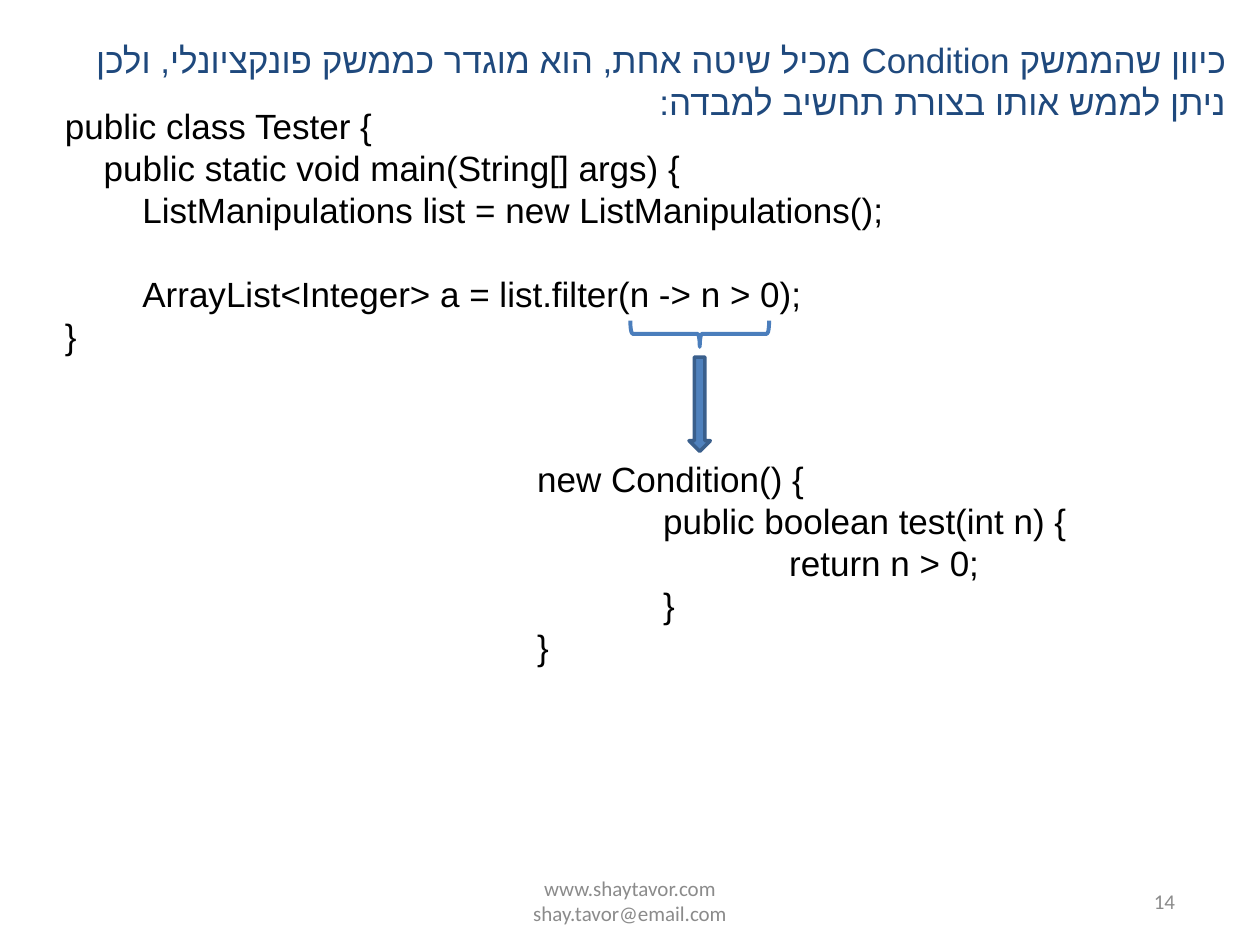
from lxml import etree
from pptx import Presentation
from pptx.dml.color import RGBColor
from pptx.enum.shapes import MSO_SHAPE
from pptx.enum.text import MSO_ANCHOR, MSO_AUTO_SIZE, PP_ALIGN
from pptx.oxml.ns import qn
from pptx.util import Cm, Pt

BRACE, DOWN_ARROW = MSO_SHAPE.RIGHT_BRACE, MSO_SHAPE.DOWN_ARROW
TOP, MIDDLE = MSO_ANCHOR.TOP, MSO_ANCHOR.MIDDLE
LEFT, CENTER, RIGHT = PP_ALIGN.LEFT, PP_ALIGN.CENTER, PP_ALIGN.RIGHT

BLACK = RGBColor(0x00, 0x00, 0x00)
NAVY = RGBColor(0x1F, 0x49, 0x7D)
GRAY = RGBColor(0x8B, 0x8B, 0x8B)
BRACE_BLUE = RGBColor(0x4B, 0x7E, 0xBC)
ARROW_BLUE = RGBColor(0x4F, 0x81, 0xBD)
ARROW_EDGE = RGBColor(0x3A, 0x5F, 0x8C)

TITLE = ("כיוון שהממשק Condition מכיל שיטה אחת, הוא מוגדר כממשק פונקציונלי, "
         "ולכן ניתן לממש אותו בצורת תחשיב למבדה:")

# Each code line: indent level, text, blank lines before it
TESTER_CODE = [
    (0, "public class Tester {", 0),
    (1, "public static void main(String[] args) {", 0),
    (2, "ListManipulations list = new ListManipulations();", 0),
    (2, "ArrayList<Integer> a = list.filter(n -> n > 0);", 1),
    (0, "}", 0),
]
CONDITION_CODE = [
    (0, "new Condition() {", 0),
    (1, "public boolean test(int n) {", 0),
    (2, "return n > 0;", 0),
    (1, "}", 0),
    (0, "}", 0),
]


class SlideBuilder:
    text_font, text_size, line_height = "Arial", Pt(20), Pt(24)
    footer_font, footer_size = "Calibri", Pt(12)

    def __init__(self, slide):
        self.slide = slide

    def style(self, para, font, size, color, align):
        para.alignment = align
        para.font.name, para.font.size = font, size
        para.font.color.rgb = color

    def title(self, text, left, top, width, height):
        """Fill the title placeholder with right-to-left text."""
        box = self.slide.shapes.title
        box.left, box.top, box.width, box.height = left, top, width, height
        frame = box.text_frame
        frame.text = text
        frame.auto_size = MSO_AUTO_SIZE.NONE
        frame.vertical_anchor = TOP
        para = frame.paragraphs[0]
        self.style(para, self.text_font, self.text_size, NAVY, RIGHT)
        para.line_spacing = self.line_height
        properties = para._p.get_or_add_pPr()
        properties.set("rtl", "1")
        script_font = etree.SubElement(properties.find(qn("a:defRPr")), qn("a:cs"))
        script_font.set("typeface", self.text_font)

    def text_box(self, left, top, width, height, anchor):
        frame = self.slide.shapes.add_textbox(left, top, width, height).text_frame
        frame.word_wrap = True
        frame.vertical_anchor = anchor
        return frame

    def code(self, lines, left, top, width, height, indent):
        frame = self.text_box(left, top, width, height, TOP)
        for index, (level, text, blanks) in enumerate(lines):
            para = frame.add_paragraph() if index else frame.paragraphs[0]
            para.text = text
            self.style(para, self.text_font, self.text_size, BLACK, LEFT)
            para.line_spacing = self.line_height
            para.space_before = self.line_height * blanks
            para._p.get_or_add_pPr().set("marL", str(indent * level))

    def footer(self, text, left, width, align):
        frame = self.text_box(left, Cm(17.65), width, Cm(1.02), MIDDLE)
        para = frame.paragraphs[0]
        para.text = text
        self.style(para, self.footer_font, self.footer_size, GRAY, align)

    def shape(self, kind, left, top, width, height, line, line_width,
              fill=None, rotation=0):
        shape = self.slide.shapes.add_shape(kind, left, top, width, height)
        shape.shadow.inherit = False
        shape.rotation = rotation
        shape.line.color.rgb, shape.line.width = line, line_width
        if fill is None:
            shape.fill.background()
        else:
            shape.fill.solid()
            shape.fill.fore_color.rgb = fill


def main():
    deck = Presentation()
    deck.slide_width, deck.slide_height = Cm(25.4), Cm(19.05)
    page = SlideBuilder(deck.slides.add_slide(deck.slide_layouts[5]))

    page.footer("www.shaytavor.com\vshay.tavor@email.com", Cm(8.68), Cm(8.04), CENTER)
    page.footer("14", Cm(23.01), Cm(1.12), LEFT)
    page.code(TESTER_CODE, Cm(1.06), Cm(1.98), Cm(23.06), Cm(5.38), indent=Cm(0.78))
    page.title(TITLE, Cm(1.47), Cm(0.64), Cm(23.5), Cm(1.96))
    page.code(CONDITION_CODE, Cm(10.58), Cm(9.1), Cm(12.28), Cm(4.52), indent=Cm(2.54))
    page.shape(BRACE, Cm(13.84), Cm(5.33), Cm(0.53), Cm(2.8),
               BRACE_BLUE, Pt(2.25), rotation=90)
    page.shape(DOWN_ARROW, Cm(13.89), Cm(7.2), Cm(0.43), Cm(1.9),
               ARROW_EDGE, Pt(2), fill=ARROW_BLUE)

    deck.save("out.pptx")


if __name__ == "__main__":
    main()
